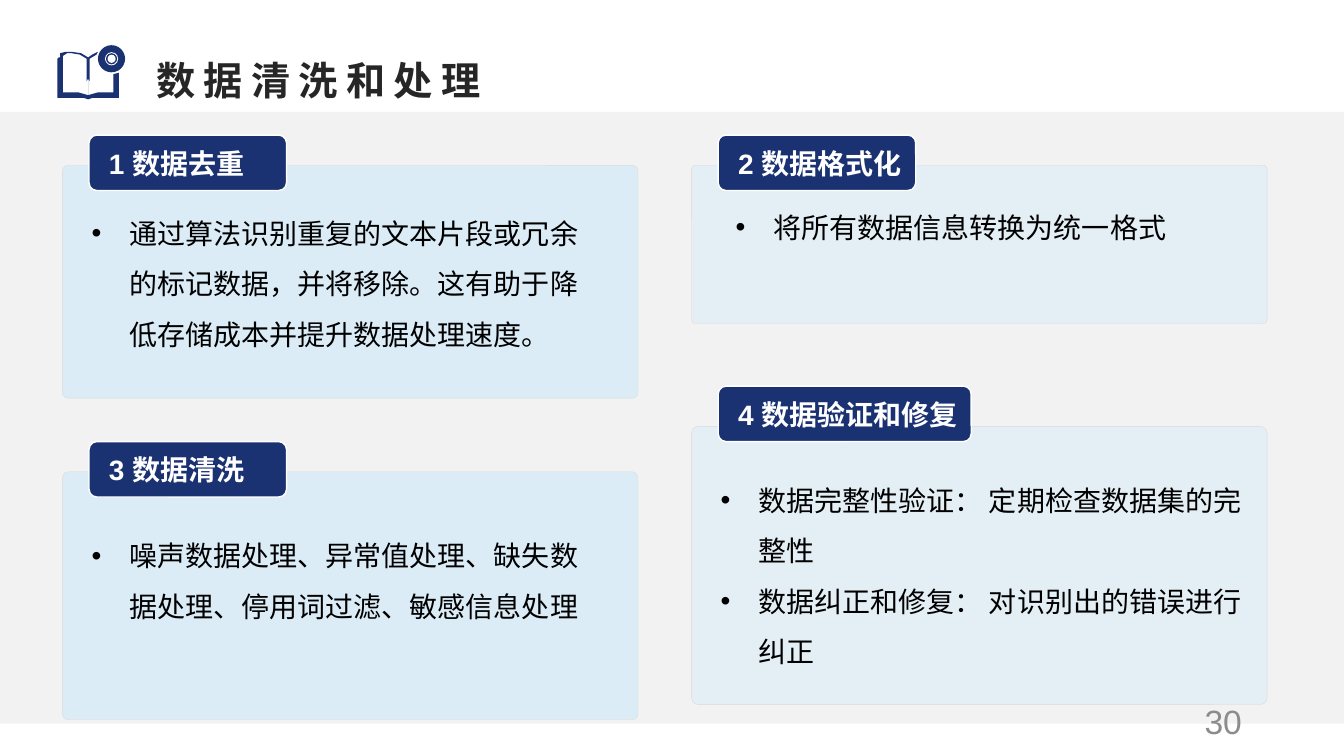
from lxml import etree
from pptx import Presentation
from pptx.dml.color import RGBColor
from pptx.enum.shapes import MSO_SHAPE
from pptx.enum.text import MSO_ANCHOR, PP_ALIGN
from pptx.oxml.ns import qn
from pptx.util import Pt

RECT, ROUND, OVAL = MSO_SHAPE.RECTANGLE, MSO_SHAPE.ROUNDED_RECTANGLE, MSO_SHAPE.OVAL
LEFT, RIGHT = PP_ALIGN.LEFT, PP_ALIGN.RIGHT
MIDDLE, BOTTOM = MSO_ANCHOR.MIDDLE, MSO_ANCHOR.BOTTOM
NAVY, WHITE, GREY = "1A3172", "FFFFFF", "F2F2F2"
CJK = "Noto Sans CJK SC"


def paint(sp, fill, line=None, width=0):
    sp.shadow.inherit = False
    sp.fill.solid()
    sp.fill.fore_color.rgb = RGBColor.from_string(fill)
    if line:
        sp.line.color.rgb = RGBColor.from_string(line)
        sp.line.width = Pt(width)
    else:
        sp.line.fill.background()


def style(p, size, color, bold=False, font="Arial", align=LEFT):
    p.alignment = align
    for r in p.runs:
        r.font.size, r.font.bold, r.font.name = Pt(size), bold, font
        r.font.color.rgb = RGBColor.from_string(color)
        etree.SubElement(r.font._element, qn("a:ea"), typeface=CJK)


prs = Presentation()
prs.slide_width, prs.slide_height = Pt(960), Pt(540)
s = prs.slides.add_slide(prs.slide_layouts[5])
s.background.fill.solid()
s.background.fill.fore_color.rgb = RGBColor.from_string(GREY)

# White page and grey content band
for top, height, fill in [(0, 540, WHITE), (80, 437, GREY)]:
    sp = s.shapes.add_shape(RECT, 0, Pt(top), Pt(960), Pt(height))
    paint(sp, fill)

# Title, brought in front of the backdrop
title = s.shapes.title
title.element.getparent().append(title.element)
title.left, title.top, title.width, title.height = Pt(104.4), Pt(25.2), Pt(854.6), Pt(52.6)
tf = title.text_frame
tf.text = "数据清洗和处理"
tf.vertical_anchor = BOTTOM
p = tf.paragraphs[0]
p.line_spacing = 0.9
style(p, 28, "262626", True, CJK)
p.runs[0].font._element.set("spc", "600")

# Book icon: outline with the left page cut out
book = [(41, 42.5), (41.5, 41.3), (43.2, 41), (43.2, 38.2), (46.8, 37.2), (51.1, 36.7),
        (57.6, 38.1), (63.4, 41), (66.5, 38.7), (69.8, 37.4), (69.1, 38.9), (64.1, 41.8),
        (64.1, 57.6), (63.4, 56.2), (63.4, 67.7), (69.5, 66.1), (75.6, 65.5), (81.4, 66.2),
        (81.4, 52.6), (85, 51.8), (85, 69.8), (66.2, 69.8), (63.4, 71.3), (60.5, 69.8), (41, 69.8)]
page = [(44.6, 39.6), (47.5, 38.5), (51.1, 38.2), (57, 39.2), (61.9, 41.8), (61.9, 57.6),
        (62.6, 56.2), (62.6, 67.7), (56.5, 66.1), (50.4, 65.5), (44.6, 66.2)]
outline = s.shapes.build_freeform(*book[0], scale=Pt(1))
outline.add_line_segments(book[1:])
outline.move_to(*page[0])
outline.add_line_segments(page[1:])
paint(outline.convert_to_shape(), NAVY)

# Disc on the book: concentric circles
for radius, fill in [(9.7, NAVY), (4.7, WHITE), (4, NAVY), (2.9, WHITE)]:
    sp = s.shapes.add_shape(OVAL, Pt(79.7 - radius), Pt(42 - radius), Pt(2 * radius), Pt(2 * radius))
    paint(sp, fill)

# Cards: panel (left, top, height, opacity), tag (text, top, width), body (box, bullets)
cards = [
    ((44.6, 118.1, 166.3, 40), (" 1 数据去重", 96.5, 141.1), (58.3, 139, 366.5, 92.2),
     ["通过算法识别重复的文本片段或冗余的标记数据，并将移除。这有助于降低存储成本并提升数据处理速度。"]),
    ((494, 118.1, 113, 24), (" 2 数据格式化", 96.5, 141.1), (518.4, 134.6, 366.5, 74.9),
     ["将所有数据信息转换为统一格式"]),
    ((44.6, 337, 177.1, 40), (" 3 数据清洗", 315.4, 141.1), (58.3, 369.4, 366.5, 92.2),
     ["噪声数据处理、异常值处理、缺失数据处理、停用词过滤、敏感信息处理"]),
    ((494, 304.6, 198.7, 24), (" 4 数据验证和修复", 275.8, 180.7), (507.6, 329.8, 397.4, 133.9),
     ["数据完整性验证： 定期检查数据集的完整性", "数据纠正和修复： 对识别出的错误进行纠正"]),
]
for (left, top, height, opacity), (label, tag_top, tag_width), box, bullets in cards:
    panel = s.shapes.add_shape(ROUND, Pt(left), Pt(top), Pt(411.1), Pt(height))
    panel.adjustments[0] = 0.024
    paint(panel, "BAE5FF", "D9D9D9", 0.25)
    color = panel.fill._xPr.find(".//" + qn("a:srgbClr"))
    etree.SubElement(color, qn("a:alpha"), val=str(opacity * 1000))

    tag = s.shapes.add_shape(ROUND, Pt(left + 19), Pt(tag_top), Pt(tag_width), Pt(39.6))
    tag.adjustments[0] = 0.142
    paint(tag, NAVY, WHITE, 1)
    tf = tag.text_frame
    tf.text = label
    tf.word_wrap = False
    tf.vertical_anchor = MIDDLE
    style(tf.paragraphs[0], 20, WHITE, True)

    tf = s.shapes.add_textbox(*map(Pt, box)).text_frame
    tf.word_wrap = True
    tf.text = "\n".join(bullets)
    for p in tf.paragraphs:
        pPr = p._p.get_or_add_pPr()
        pPr.set("marL", str(Pt(27)))
        pPr.set("indent", str(Pt(-27)))
        etree.SubElement(pPr, qn("a:buFont"), typeface="Arial")
        etree.SubElement(pPr, qn("a:buChar"), char="•")
        p.line_spacing = 1.5
        style(p, 20, "000000")

# Page number
tf = s.shapes.add_textbox(Pt(678.2), Pt(500.4), Pt(216), Pt(28.8)).text_frame
tf.word_wrap = True
tf.text = "30"
tf.vertical_anchor = MIDDLE
style(tf.paragraphs[0], 24, "8C8C8C", align=RIGHT)

prs.save("out.pptx")
